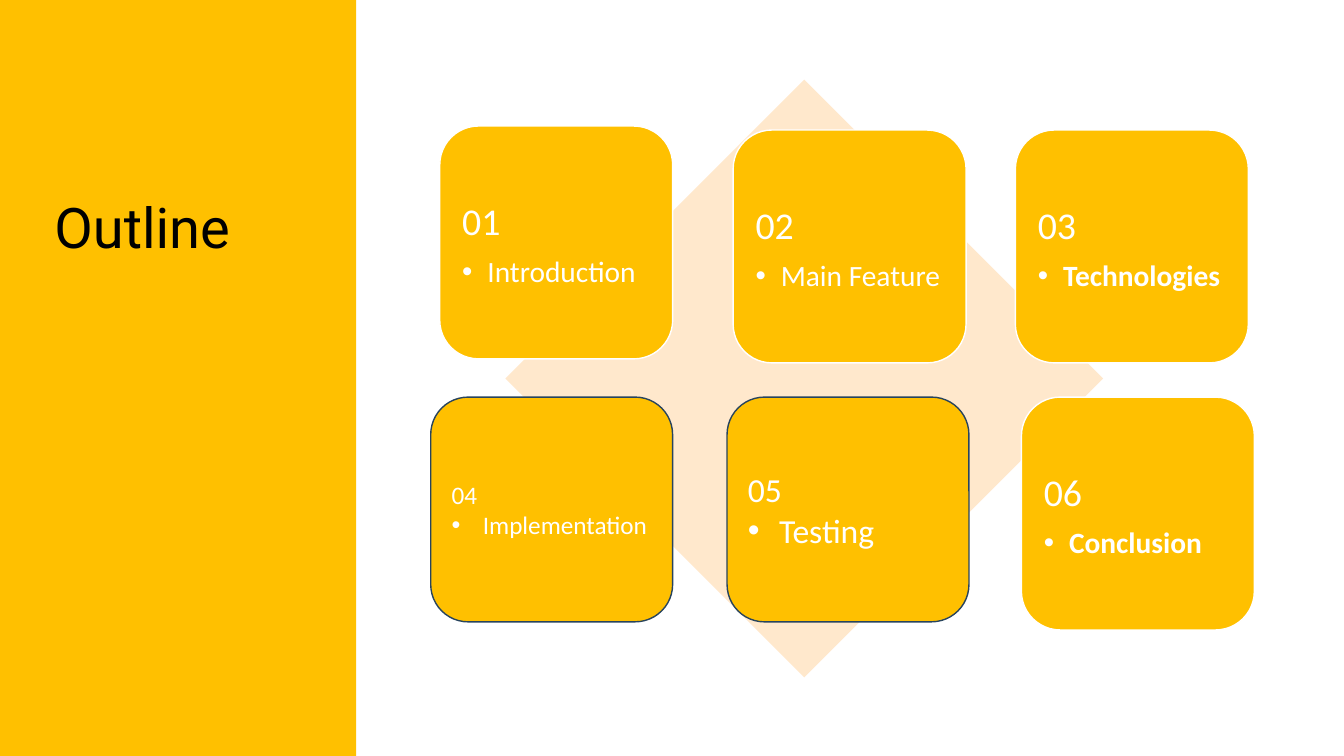
from pptx import Presentation
from pptx.dml.color import RGBColor
from pptx.enum.shapes import MSO_SHAPE
from pptx.enum.text import MSO_ANCHOR, MSO_AUTO_SIZE, PP_ALIGN
from pptx.oxml.ns import qn
from pptx.util import Inches, Pt
from lxml import etree

RECT, DIAMOND, ROUND = MSO_SHAPE.RECTANGLE, MSO_SHAPE.DIAMOND, MSO_SHAPE.ROUNDED_RECTANGLE
TOP, MIDDLE = MSO_ANCHOR.TOP, MSO_ANCHOR.MIDDLE
LEFT, FIXED = PP_ALIGN.LEFT, MSO_AUTO_SIZE.NONE
WIDE, HIGH = Inches(13.333), Inches(7.5)
HUES = {"gold": "FFC000", "peach": "FFE8CC", "navy": "28445D",
        "white": "FFFFFF", "black": "000000"}

# Card styles: size in percent of the slide, insets and indents in inches
SOFT = dict(size=(17.33, 30.8), edge="white", anchor=TOP, inset=(0.11, 0.65),
            head=27, body=21, space=0.9, after=9.4, indent=0.25)
FRAME = dict(size=(18, 29.73), edge="navy", anchor=MIDDLE, inset=(0.1, 0.05),
             space=1, after=0, indent=0.31)

# Number, label, left and top in percent from the region's corner, style
CARDS = [
    ("01", "Introduction", 6.22, 16.67, SOFT),
    ("02", "Main Feature", 28.05, 17.2, SOFT),
    ("03", "Technologies", 49.05, 17.2, SOFT | {"bold": True}),
    ("04", "Implementation", 5.55, 52.53, FRAME | {"head": 18, "body": 18}),
    ("05", "Testing", 27.6, 52.53, FRAME | {"head": 24, "body": 24}),
    ("06", "Conclusion", 49.5, 52.53, SOFT | {"bold": True}),
]


def hue(name):
    return RGBColor.from_string(HUES[name])


def place(box):
    """Turn a box in percent of the slide into lengths."""
    x, y, w, h = box
    return [int(part * full / 100)
            for part, full in ((x, WIDE), (y, HIGH), (w, WIDE), (h, HIGH))]


def draw(slide, kind, box, fill, edge=None):
    shape = slide.shapes.add_shape(kind, *place(box))
    shape.shadow.inherit = False
    shape.fill.solid()
    shape.fill.fore_color.rgb = hue(fill)
    if edge:
        shape.line.color.rgb = hue(edge)
        shape.line.width = Pt(1)
    else:
        shape.line.fill.background()
    return shape


def frame(shape, anchor, side, top, base):
    text = shape.text_frame
    text.word_wrap = True
    text.auto_size = FIXED
    text.vertical_anchor = anchor
    text.margin_left = text.margin_right = Inches(side)
    text.margin_top, text.margin_bottom = Inches(top), Inches(base)
    return text


def write(para, words, size, font="Calibri", color="white", bold=False,
          space=1, after=0, indent=0):
    para.alignment = LEFT
    para.line_spacing = space
    para.space_before, para.space_after = Pt(0), Pt(after)
    run = para.add_run()
    run.text = words
    run.font.name, run.font.size, run.font.bold = font, Pt(size), bold
    run.font.color.rgb = hue(color)
    if indent:
        props = para._p.get_or_add_pPr()
        props.set("marL", str(Inches(indent)))
        props.set("indent", str(-Inches(indent)))
        etree.SubElement(props, qn("a:buFont")).set("typeface", "Arial")
        etree.SubElement(props, qn("a:buChar")).set("char", "•")


def side(slide, box):
    """Gold panel with the slide title."""
    x, y, w, h = box
    panel = draw(slide, RECT, box, "gold")
    title = slide.shapes.title
    panel._element.addnext(title._element)
    title.left, title.top, title.width, title.height = place(
        (x + 3.3, y + 24.93, w - 6.55, 11.2))
    text = frame(title, MIDDLE, 0.1, 0.1, 0.1)
    write(text.paragraphs[0], "Outline", 40, font="Roboto", color="black", space=0.9)


def card(slide, box, number, label, style):
    shape = draw(slide, ROUND, box, "gold", style["edge"])
    inset, top = style["inset"]
    text = frame(shape, style["anchor"], inset, top, 0.05)
    write(text.paragraphs[0], number, style["head"],
          space=style["space"], after=style["after"])
    write(text.add_paragraph(), label, style["body"], bold=style.get("bold", False),
          space=style["space"], indent=style["indent"])


def topics(slide, box):
    """Diamond backdrop with the six cards on it."""
    x, y, w, h = box
    draw(slide, DIAMOND, (x + 11.1, y + 10.53, 44.48, 79.07), "peach")
    for number, label, left, top, style in CARDS:
        card(slide, (x + left, y + top, *style["size"]), number, label, style)


def main():
    deck = Presentation()
    deck.slide_width, deck.slide_height = WIDE, HIGH
    slide = deck.slides.add_slide(deck.slide_layouts[5])
    side(slide, (0, 0, 26.5, 100))
    topics(slide, (26.5, 0, 73.5, 100))
    deck.save("out.pptx")


if __name__ == "__main__":
    main()
